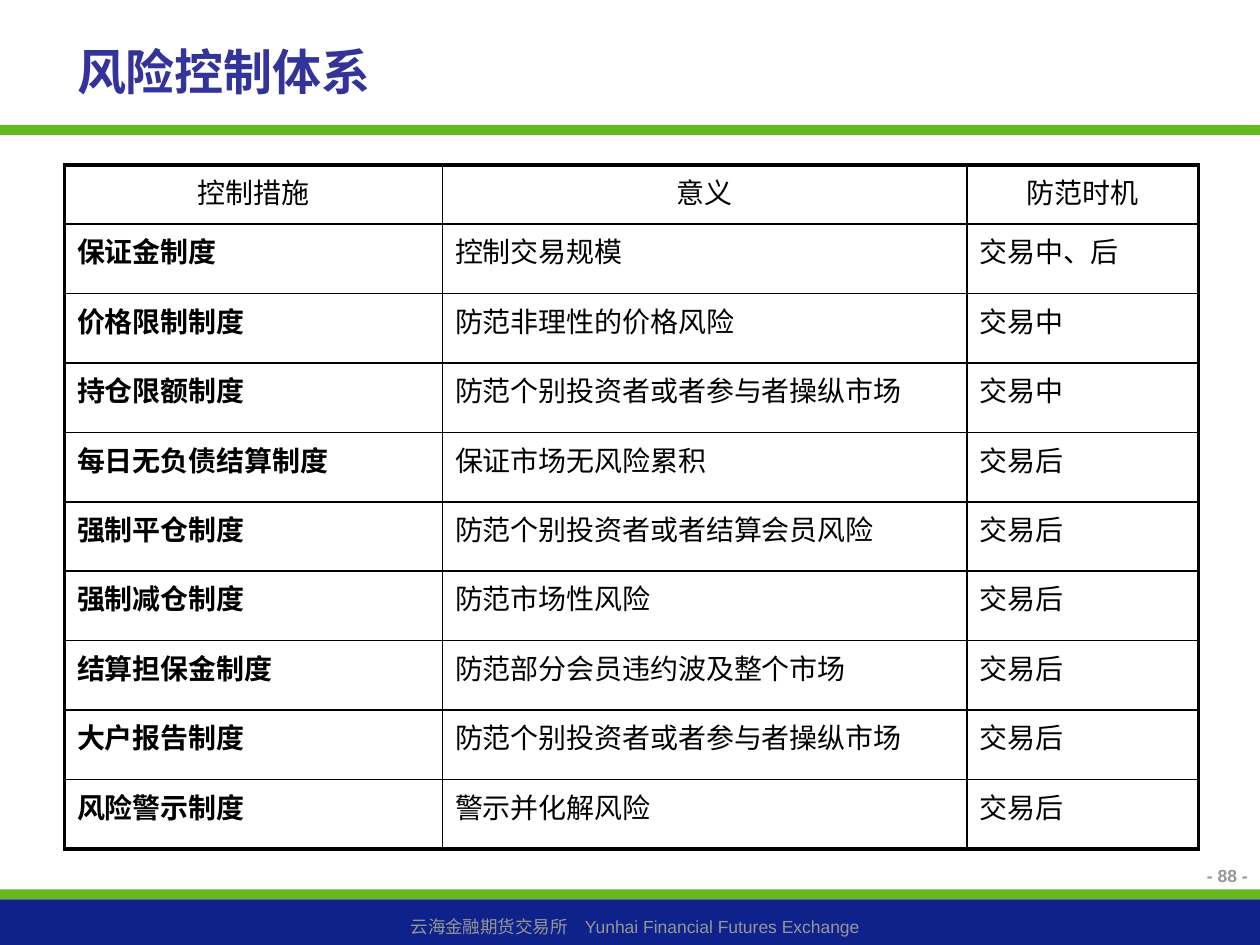
from lxml import etree
from pptx import Presentation
from pptx import util as u
from pptx.dml.color import RGBColor
from pptx.enum import shapes, text
from pptx.oxml import ns

FONT = "Arial"
GREEN, NAVY, INDIGO, GREY, BLACK = "66B821", "0F218B", "333399", "969696", "000000"
LEFT, CENTER, RIGHT = text.PP_ALIGN.LEFT, text.PP_ALIGN.CENTER, text.PP_ALIGN.RIGHT

ROWS = [
    ("控制措施", "意义", "防范时机"),
    ("保证金制度", "控制交易规模", "交易中、后"),
    ("价格限制制度", "防范非理性的价格风险", "交易中"),
    ("持仓限额制度", "防范个别投资者或者参与者操纵市场", "交易中"),
    ("每日无负债结算制度", "保证市场无风险累积", "交易后"),
    ("强制平仓制度", "防范个别投资者或者结算会员风险", "交易后"),
    ("强制减仓制度", "防范市场性风险", "交易后"),
    ("结算担保金制度", "防范部分会员违约波及整个市场", "交易后"),
    ("大户报告制度", "防范个别投资者或者参与者操纵市场", "交易后"),
    ("风险警示制度", "警示并化解风险", "交易后"),
]


def rgb(value):
    """Turn a hex string into a colour."""
    return RGBColor.from_string(value)


def write(tf, content, size=16, color=BLACK, bold=False, align=LEFT):
    """Put one formatted paragraph into a text frame."""
    tf.word_wrap = True
    p = tf.paragraphs[0]
    p.alignment = align
    p.space_before = u.Pt(0)
    r = p.add_run()
    r.text = content
    r.font.name, r.font.size, r.font.bold = FONT, u.Pt(size), bold
    r.font.color.rgb = rgb(color)


def set_borders(cell, widths):
    """Draw the left, right, top and bottom borders of a cell."""
    tc_pr = cell._tc.get_or_add_tcPr()
    for i, (side, width) in enumerate(zip("LRTB", widths)):
        ln = etree.Element(ns.qn(f"a:ln{side}"), w=str(u.Pt(width)))
        fill = etree.SubElement(ln, ns.qn("a:solidFill"))
        etree.SubElement(fill, ns.qn("a:srgbClr"), val=BLACK)
        tc_pr.insert(i, ln)


class Deck:
    """Hold the line style and the current slide."""

    thick, thin = 2.25, 1

    def __init__(self, prs):
        """Add a title-only slide."""
        self.s = prs.slides.add_slide(prs.slide_layouts[5])

    def bar(self, top, height, color):
        """Add a full-width bar."""
        sp = self.s.shapes.add_shape(
            shapes.MSO_SHAPE.RECTANGLE, 0, u.Cm(top), u.Cm(25.4), u.Cm(height))
        sp.shadow.inherit = False
        sp.fill.solid()
        sp.fill.fore_color.rgb = rgb(color)
        sp.line.fill.background()

    def label(self, content, left, top, width, height, **style):
        """Add a text box."""
        sp = self.s.shapes.add_textbox(*map(u.Cm, (left, top, width, height)))
        write(sp.text_frame, content, **style)

    def title(self, content, left, top, width, height, **style):
        """Place and fill the title placeholder."""
        sp = self.s.shapes.title
        sp.left, sp.top, sp.width, sp.height = map(u.Cm, (left, top, width, height))
        sp.text_frame.vertical_anchor = text.MSO_ANCHOR.MIDDLE
        write(sp.text_frame, content, **style)

    def table(self, rows, left, top, widths, heights):
        """Add a ruled table with a thick outer frame."""
        n, m = len(rows), len(widths)
        tbl = self.s.shapes.add_table(
            n, m, u.Cm(left), u.Cm(top), u.Cm(sum(widths)), u.Cm(sum(heights))).table
        tbl.first_row = tbl.horz_banding = False
        for col, width in zip(tbl.columns, widths):
            col.width = u.Cm(width)
        for i, row in enumerate(rows):
            tbl.rows[i].height = u.Cm(heights[i])
            for j, content in enumerate(row):
                cell = tbl.cell(i, j)
                cell.fill.background()
                edges = (j == 0, j == m - 1, i == 0, i == n - 1)
                set_borders(cell, [self.thick if e else self.thin for e in edges])
                write(cell.text_frame, content, bold=i > 0 and j == 0,
                      align=LEFT if i else CENTER)


def main():
    """Build and save the slide."""
    prs = Presentation()
    prs.slide_width, prs.slide_height = u.Cm(25.4), u.Cm(19.05)
    deck = Deck(prs)
    deck.bar(17.93, 0.2, GREEN)
    deck.bar(2.52, 0.2, GREEN)
    deck.bar(18.13, 0.92, NAVY)
    deck.label("云海金融期货交易所　Yunhai Financial Futures Exchange",
               0.2, 18.34, 25.2, 0.69, size=10, color=GREY, align=CENTER)
    deck.label("- 88 -", 20.4, 17.32, 5, 0.91,
               size=10, color=GREY, bold=True, align=RIGHT)
    deck.title("风险控制体系", 1.3, 0.53, 17.6, 1.8, size=28, color=INDIGO, bold=True)
    deck.table(ROWS, 1.3, 3.33, (7.62, 10.57, 4.67), [1.19] + [1.4] * (len(ROWS) - 1))
    prs.save("out.pptx")


if __name__ == "__main__":
    main()
